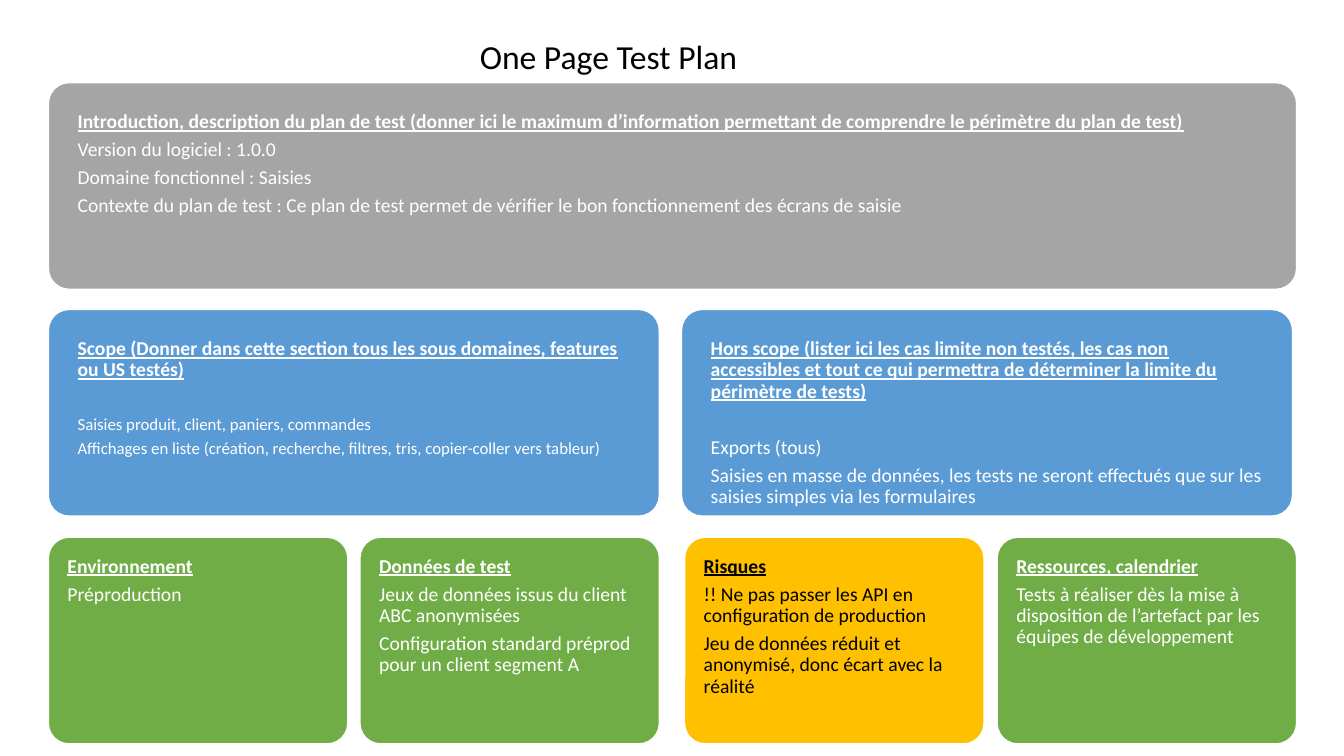
from dataclasses import dataclass

from pptx import Presentation
from pptx.dml.color import RGBColor
from pptx.enum.shapes import MSO_SHAPE
from pptx.enum.text import MSO_ANCHOR, MSO_AUTO_SIZE, PP_ALIGN
from pptx.util import Pt

ROUNDED = MSO_SHAPE.ROUNDED_RECTANGLE
TOP, MIDDLE = MSO_ANCHOR.TOP, MSO_ANCHOR.MIDDLE
LEFT, CENTER = PP_ALIGN.LEFT, PP_ALIGN.CENTER
FIXED_SIZE = MSO_AUTO_SIZE.NONE
TITLE_ONLY = 5

EMU_PER_PX = 9144  # 100 px to the inch
SLIDE_W, SLIDE_H = 1333, 750
CARD_H = 205
WIDE_INSET, NARROW_INSET = 23, 13
HALF_LEFTS, HALF_W = (48, 676), 606
QUARTER_LEFTS, QUARTER_W = (48, 357, 679, 989), 297


@dataclass(frozen=True)
class Theme:
    font: str = "Calibri"
    title_size: int = 24
    text_size: int = 14
    small_size: int = 12
    section_gap: int = 25
    white: str = "FFFFFF"
    black: str = "000000"
    grey: str = "A5A5A5"
    blue: str = "5B9BD5"
    green: str = "70AD47"
    amber: str = "FFC000"


THEME = Theme()


def px(length):
    return length * EMU_PER_PX


def rgb(color):
    return RGBColor.from_string(color)


def row_top(row):
    """Top of a card row; rows are 225.5 px apart."""
    return 82 + row * 451 // 2


def write(paragraph, text, *, size, color, heading=False, align=LEFT, after=None):
    """Fill a paragraph; the space after defaults to 35 % of the type size."""
    paragraph.alignment = align
    paragraph.line_spacing = 0.9
    paragraph.space_before = Pt(0)
    paragraph.space_after = Pt(size * 0.35 if after is None else after)
    run = paragraph.add_run()
    run.text = text
    run.font.name = THEME.font
    run.font.size = Pt(size)
    run.font.bold = heading
    run.font.underline = heading
    run.font.color.rgb = rgb(color)


class PlanSlide:
    def __init__(self, presentation, theme):
        self.theme = theme
        self.slide = presentation.slides.add_slide(presentation.slide_layouts[TITLE_ONLY])

    def title(self, text, left, top, width, height):
        heading = self.slide.shapes.title
        heading.left, heading.top = px(left), px(top)
        heading.width, heading.height = px(width), px(height)
        frame = heading.text_frame
        frame.auto_size = FIXED_SIZE
        frame.word_wrap = True
        frame.vertical_anchor = MIDDLE
        write(frame.paragraphs[0], text, size=self.theme.title_size,
              color=self.theme.black, align=CENTER)

    def card(self, left, row, width, fill, heading, lines, *, inset=NARROW_INSET,
             color=None, size=None, heading_after=None):
        theme = self.theme
        color = color or theme.white
        card = self.slide.shapes.add_shape(
            ROUNDED, px(left), px(row_top(row)), px(width), px(CARD_H))
        card.adjustments[0] = 0.1
        card.shadow.inherit = False
        card.fill.solid()
        card.fill.fore_color.rgb = rgb(fill)
        card.line.color.rgb = rgb(theme.white)
        card.line.width = Pt(1)

        frame = card.text_frame
        frame.word_wrap = True
        frame.vertical_anchor = TOP
        frame.margin_left = frame.margin_right = px(inset)
        frame.margin_top = frame.margin_bottom = px(inset)
        write(frame.paragraphs[0], heading, size=theme.text_size, color=color,
              heading=True, after=heading_after)
        for line in lines:
            write(frame.add_paragraph(), line, size=size or theme.text_size, color=color)


def main():
    presentation = Presentation()
    presentation.slide_width, presentation.slide_height = px(SLIDE_W), px(SLIDE_H)
    plan = PlanSlide(presentation, THEME)

    plan.title("One Page Test Plan", 270, 35, 667, 46)
    plan.card(
        48, 0, 1238, THEME.grey,
        "Introduction, description du plan de test (donner ici le maximum d’information "
        "permettant de comprendre le périmètre du plan de test)",
        ["Version du logiciel : 1.0.0",
         "Domaine fonctionnel : Saisies",
         "Contexte du plan de test : Ce plan de test permet de vérifier le bon "
         "fonctionnement des écrans de saisie"],
        inset=WIDE_INSET)

    scopes = [
        ("Scope (Donner dans cette section tous les sous domaines, features ou US testés)",
         ["Saisies produit, client, paniers, commandes",
          "Affichages en liste (création, recherche, filtres, tris, "
          "copier-coller vers tableur)"],
         THEME.small_size),
        ("Hors scope (lister ici les cas limite non testés, les cas non accessibles "
         "et tout ce qui permettra de déterminer la limite du périmètre de tests)",
         ["Exports (tous)",
          "Saisies en masse de données, les tests ne seront effectués que sur les "
          "saisies simples via les formulaires"],
         THEME.text_size),
    ]
    for left, (heading, lines, size) in zip(HALF_LEFTS, scopes):
        plan.card(left, 1, HALF_W, THEME.blue, heading, lines, inset=WIDE_INSET,
                  size=size, heading_after=THEME.section_gap)

    conditions = [
        ("Environnement", ["Préproduction"], THEME.green, THEME.white),
        ("Données de test",
         ["Jeux de données issus du client ABC anonymisées",
          "Configuration standard préprod pour un client segment A"],
         THEME.green, THEME.white),
        ("Risques",
         ["!! Ne pas passer les API en configuration de production",
          "Jeu de données réduit et anonymisé, donc écart avec la réalité"],
         THEME.amber, THEME.black),
        ("Ressources, calendrier",
         ["Tests à réaliser dès la mise à disposition de l’artefact par les "
          "équipes de développement"],
         THEME.green, THEME.white),
    ]
    for left, (heading, lines, fill, color) in zip(QUARTER_LEFTS, conditions):
        plan.card(left, 2, QUARTER_W, fill, heading, lines, color=color)

    presentation.save("out.pptx")


if __name__ == "__main__":
    main()
